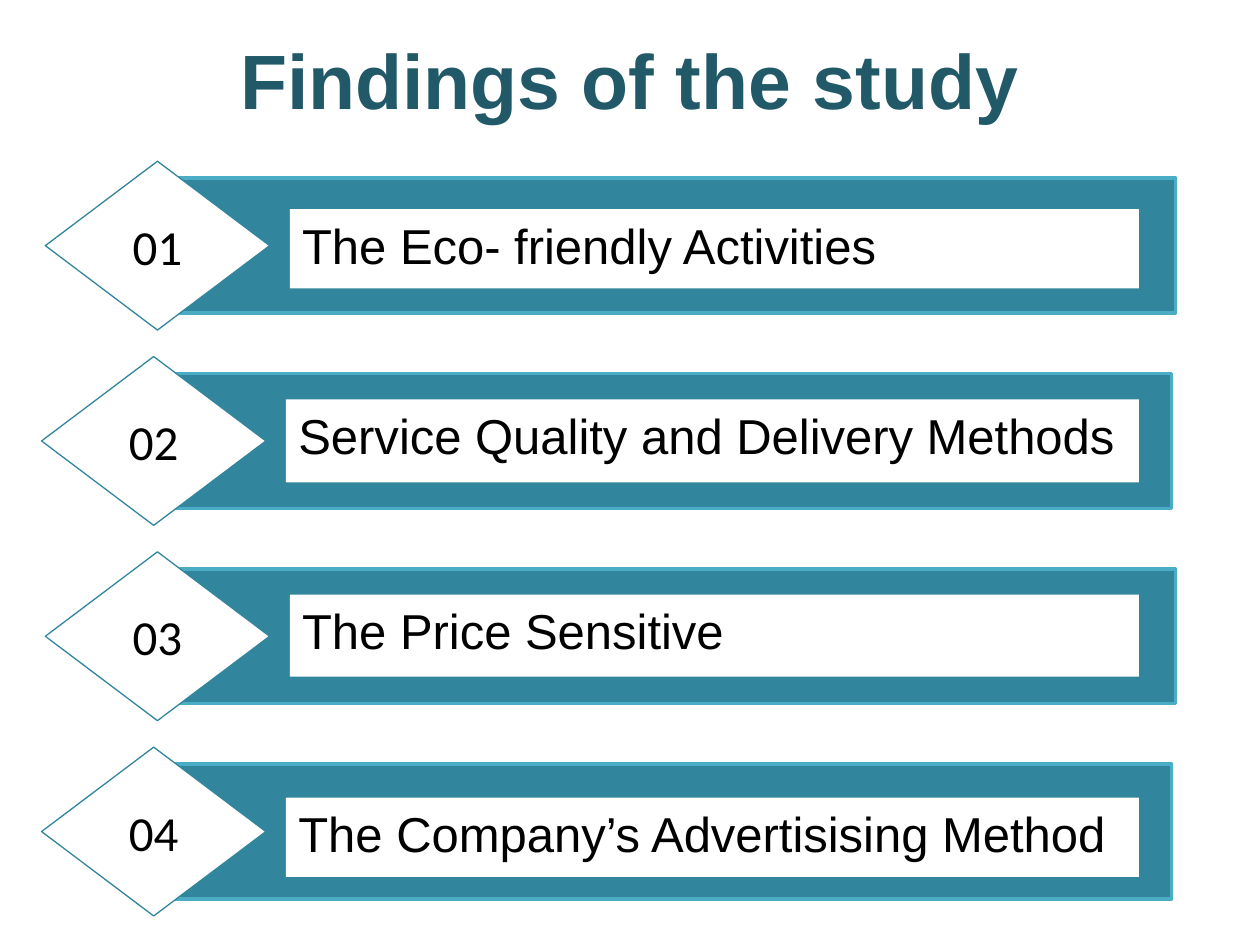
from pptx import Presentation
from pptx.dml.color import RGBColor
from pptx.enum.shapes import MSO_SHAPE
from pptx.enum.text import MSO_ANCHOR, PP_ALIGN
from pptx.util import Inches, Pt

# Content: finding, label offset below its row's top, label height
TITLE = "Findings of the study"
FINDINGS = [
    ("The Eco- friendly Activities", 0.38, 0.63),
    ("Service Quality and Delivery Methods", 0.34, 0.66),
    ("The Price Sensitive", 0.34, 0.65),
    ("The Company’s Advertisising Method", 0.40, 0.63),
]
COLORS = {"title": "215968", "bar": "31859C", "edge": "4BACC6",
          "white": "FFFFFF", "text": "000000"}

# Row grid in inches; even rows sit slightly further left
ROW_TOP, ROW_PITCH = 1.28, 1.55
ROW_LEFT, EVEN_SHIFT = 0.36, 0.03
DIAMOND_WIDTH, DIAMOND_HEIGHT = 1.78, 1.34
BAR_INDENT, BAR_WIDTH, BAR_HEIGHT = 1.03, 7.94, 1.07
LABEL_INDENT, LABEL_RIGHT = 1.94, 9.04


def color(name):
    return RGBColor.from_string(COLORS[name])


def add_box(parent, kind, left, top, width, height, fill, line=None, weight=0):
    box = parent.shapes.add_shape(kind, Inches(left), Inches(top),
                                  Inches(width), Inches(height))
    box.shadow.inherit = False
    box.fill.solid()
    box.fill.fore_color.rgb = color(fill)
    if line:
        box.line.color.rgb = color(line)
        box.line.width = Pt(weight)
    else:
        box.line.fill.background()
    return box


def write(box, text, size, font, align, anchor, ink="text", bold=False):
    frame = box.text_frame
    frame.word_wrap = True
    frame.vertical_anchor = anchor
    para = frame.paragraphs[0]
    para.alignment = align
    span = para.add_run()
    span.text = text
    span.font.size = Pt(size)
    span.font.name = font
    span.font.bold = bold
    span.font.color.rgb = color(ink)


def add_finding(page, index, text, label_offset, label_height):
    left = ROW_LEFT - EVEN_SHIFT * (index % 2)
    top = ROW_TOP + index * ROW_PITCH
    row = page.shapes.add_group_shape()
    # Bar behind the row, centred on the diamond
    add_box(row, MSO_SHAPE.RECTANGLE, left + BAR_INDENT,
            top + (DIAMOND_HEIGHT - BAR_HEIGHT) / 2,
            BAR_WIDTH, BAR_HEIGHT, "bar", "edge", 2)
    # Numbered diamond
    diamond = add_box(row, MSO_SHAPE.DIAMOND, left, top,
                      DIAMOND_WIDTH, DIAMOND_HEIGHT, "white", "bar", 0.75)
    write(diamond, f"{index + 1:02}", 28, "Calibri", PP_ALIGN.CENTER, MSO_ANCHOR.MIDDLE)
    # Label, ending at a shared right edge
    label_left = left + LABEL_INDENT
    label = add_box(row, MSO_SHAPE.RECTANGLE, label_left, top + label_offset,
                    LABEL_RIGHT - label_left, label_height, "white")
    write(label, text, 28, "Arial", PP_ALIGN.LEFT, MSO_ANCHOR.TOP)


def main():
    deck = Presentation()
    deck.slide_width, deck.slide_height = Inches(10), Inches(7.5)
    page = deck.slides.add_slide(deck.slide_layouts[5])

    # Title
    title = page.shapes.title
    title.left, title.top = Inches(0.5), Inches(0)
    title.width, title.height = Inches(9), Inches(1.25)
    write(title, TITLE, 44, "Arial", PP_ALIGN.CENTER, MSO_ANCHOR.MIDDLE, "title", True)

    # Findings
    for index, finding in enumerate(FINDINGS):
        add_finding(page, index, *finding)

    deck.save("out.pptx")


if __name__ == "__main__":
    main()
